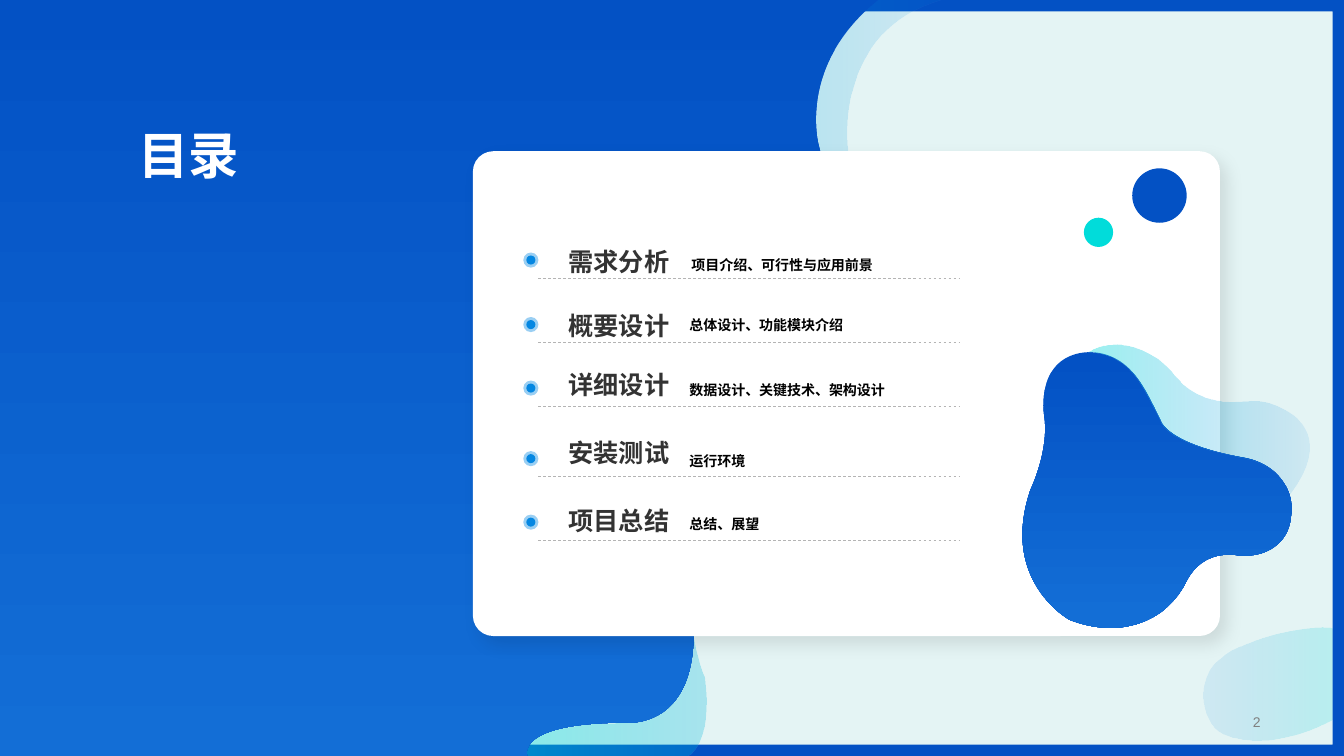
from lxml import etree
from pptx import Presentation
from pptx import util as u
from pptx.dml.color import RGBColor
from pptx.enum import dml, shapes, text
from pptx.oxml.ns import qn

NAVY = RGBColor(0x03, 0x51, 0xC4)
BLUE = RGBColor(0x13, 0x6E, 0xD6)
AZURE = RGBColor(0x04, 0x87, 0xE2)
CYAN = RGBColor(0x01, 0xDC, 0xDA)
MINT = RGBColor(0xE4, 0xF4, 0xF4)
WHITE = RGBColor(0xFF, 0xFF, 0xFF)
BLACK = RGBColor(0x00, 0x00, 0x00)
CHARCOAL = RGBColor(0x33, 0x33, 0x33)
GREY = RGBColor(0x80, 0x80, 0x80)
RULE = RGBColor(0xB4, 0xB4, 0xB4)
CJK = "Noto Sans CJK SC"

CORNER = [(13.26, 7.11), (13.26, 7.11, 12.61, 7.5, 12.13, 7.28),
          (11.92, 7.17, 11.86, 6.79, 12.04, 6.59), (12.1, 6.53, 12.17, 6.47, 12.27, 6.43),
          (12.27, 6.43, 12.84, 6.17, 13.26, 6.24)]
EDGE = [(5.23, 7.5), (5.23, 7.5, 5.1, 7.17, 6.21, 7.17), (6.21, 7.17, 6.89, 7.24, 6.88, 6.26),
        (6.88, 6.26, 6.59, 4.45, 7.79, 3.07), (7.79, 3.07, 8.38, 2.4, 8.12, 1.44),
        (8.12, 1.44, 7.9, 0.65, 8.71, 0)]
PANEL = [(0, 7.5), *EDGE, (0, 0)]
WAVE = [(9.34, 0), (8.24, 0.32, 8.41, 1.49, 8.41, 1.49), (8.51, 3.4, 7.85, 4.27, 7.46, 4.62),
        (7.13, 4.9, 6.92, 5.31, 6.87, 5.75), (6.81, 6.31, 6.99, 6.71, 6.99, 6.71),
        (7.08, 7.41, 6.82, 7.5, 6.82, 7.5), *EDGE]
BLOB = [(10.36, 4.15), (10.36, 4.15, 10.26, 3.62, 10.68, 3.51),
        (10.88, 3.46, 11.09, 3.53, 11.23, 3.69), (11.32, 3.79, 11.38, 3.9, 11.52, 4.19),
        (11.52, 4.19, 11.6, 4.41, 12.33, 4.54), (12.45, 4.56, 12.56, 4.61, 12.65, 4.69),
        (12.75, 4.79, 12.84, 4.93, 12.8, 5.15), (12.8, 5.15, 12.79, 5.4, 12.51, 5.49),
        (12.44, 5.51, 12.36, 5.52, 12.28, 5.51), (12.16, 5.49, 11.9, 5.49, 11.76, 5.78),
        (11.7, 5.9, 11.62, 5.99, 11.52, 6.07), (11.34, 6.2, 11.03, 6.31, 10.61, 6.15),
        (10.61, 6.15, 9.91, 5.77, 10.22, 4.86), (10.22, 4.86, 10.4, 4.49, 10.36, 4.15)]
BLOB_SHADE = [(11.23, 3.69), (11.32, 3.79, 11.38, 3.9, 11.52, 4.19),
              (11.52, 4.19, 11.6, 4.41, 12.33, 4.54), (12.45, 4.56, 12.56, 4.61, 12.65, 4.69),
              (12.71, 4.75, 12.76, 4.81, 12.79, 4.9), (13.19, 4.36, 12.89, 4.12, 12.65, 4.02),
              (12.55, 3.98, 12.43, 3.96, 12.32, 3.98), (11.93, 4.02, 11.73, 3.82, 11.65, 3.72),
              (11.61, 3.66, 11.55, 3.61, 11.49, 3.56), (11.08, 3.28, 10.8, 3.49, 10.8, 3.49),
              (10.96, 3.49, 11.12, 3.56, 11.23, 3.69)]

CONTENTS = [
    (2.76, "需求分析", 2.3, 1.3, "项目介绍、可行性与应用前景", 6.76, 2.49),
    (3.4, "概要设计", 2.94, 1.3, "总体设计、功能模块介绍", 6.74, 3.09),
    (4.03, "详细设计", 3.6, None, "数据设计、关键技术、架构设计", 6.74, 3.73),
    (4.73, "安装测试", 4.28, None, "运行环境", 6.74, 4.44),
    (5.36, "项目总结", 4.95, None, "总结、展望", 6.74, 5.06),
]


def set_alpha(color_element, percent):
    etree.SubElement(color_element, qn("a:alpha"), val=str(percent * 1000))


def bend_segments(shape, segments):
    lines = list(shape.element.spPr.iter(qn("a:lnTo")))
    for line, segment in zip(lines, segments):
        if len(segment) == 2:
            continue
        line.tag = qn("a:cubicBezTo")
        line.remove(line[0])
        for x, y in zip(segment[::2], segment[1::2]):
            etree.SubElement(line, qn("a:pt"), x=str(u.Inches(x) - shape.left),
                             y=str(u.Inches(y) - shape.top))


def add_outline(page, outline, colors, angle=0, alphas=(100, 100)):
    points = [tuple(map(u.Inches, segment[-2:])) for segment in outline]
    builder = page.shapes.build_freeform(*points[0])
    builder.add_line_segments(points[1:], close=True)
    shape = builder.convert_to_shape()
    bend_segments(shape, outline[1:])
    shape.shadow.inherit = False
    shape.line.fill.background()
    shape.fill.gradient()
    shape.fill.gradient_angle = -angle % 360
    for stop, color, position in zip(shape.fill.gradient_stops, colors, (0, 1)):
        stop.color.rgb = color
        stop.position = position
    for element, alpha in zip(shape.element.spPr.iter(qn("a:srgbClr")), alphas):
        if alpha < 100:
            set_alpha(element, alpha)


def add_preset(page, kind, box, color, alpha=100):
    shape = page.shapes.add_shape(kind, *map(u.Inches, box))
    shape.shadow.inherit = False
    shape.line.fill.background()
    shape.fill.solid()
    shape.fill.fore_color.rgb = color
    if alpha < 100:
        set_alpha(next(shape.element.spPr.iter(qn("a:srgbClr"))), alpha)
    return shape


def format_text(frame, words, size, color, font="Arial", bold=True, align=None,
                anchor=text.MSO_ANCHOR.BOTTOM, spacing=None):
    frame.word_wrap = True
    frame.vertical_anchor = anchor
    para = frame.paragraphs[0]
    para.alignment = align
    para.line_spacing = spacing
    span = para.add_run()
    span.text = words
    span.font.size = u.Pt(size)
    span.font.bold = bold
    span.font.name = font
    span.font.color.rgb = color
    if font == CJK:
        etree.SubElement(span.font._element, qn("a:ea"), typeface=font)


def add_text(page, box, words, size, color, grow=True, **style):
    frame = page.shapes.add_textbox(*map(u.Inches, box)).text_frame
    format_text(frame, words, size, color, **style)
    if grow:
        frame.auto_size = text.MSO_AUTO_SIZE.SHAPE_TO_FIT_TEXT


def add_backdrop(page, box):
    page.background.fill.solid()
    page.background.fill.fore_color.rgb = MINT
    add_outline(page, CORNER, (CYAN, AZURE), 180, (20, 10))
    frame = add_preset(page, shapes.MSO_SHAPE.FRAME, box, NAVY)
    frame.adjustments[0] = 0.015
    add_outline(page, WAVE, (CYAN, AZURE), 0, (40, 10))
    add_outline(page, PANEL, (NAVY, BLUE), 90)


def add_card(page, box):
    card = add_preset(page, shapes.MSO_SHAPE.ROUNDED_RECTANGLE, box, WHITE)
    card.adjustments[0] = 0.042
    effects = card.element.spPr.find(qn("a:effectLst"))
    shadow = etree.SubElement(effects, qn("a:outerShdw"), blurRad=str(u.Pt(12)),
                              dist=str(u.Pt(8)), dir="2700000", algn="tl", rotWithShape="0")
    set_alpha(etree.SubElement(shadow, qn("a:srgbClr"), val="000000"), 10)


def add_entry(page, left, rule, heading, heading_top, spacing, detail, detail_left, detail_top):
    oval = shapes.MSO_SHAPE.OVAL
    add_preset(page, oval, (left, rule - 0.255, 0.15, 0.15), AZURE, 40)
    add_preset(page, oval, (left + 0.03, rule - 0.225, 0.09, 0.09), AZURE)
    ends = (left + 0.15, rule, left + 4.33, rule)
    line = page.shapes.add_connector(shapes.MSO_CONNECTOR.STRAIGHT, *map(u.Inches, ends))
    line.line.color.rgb = RULE
    line.line.width = u.Pt(0.5)
    line.line.dash_style = dml.MSO_LINE.DASH
    etree.SubElement(line.element.spPr, qn("a:effectLst"))
    anchor = text.MSO_ANCHOR.TOP if spacing else text.MSO_ANCHOR.BOTTOM
    add_text(page, (left + 0.35, heading_top, 1.44, 0.46 if spacing else 0.41), heading, 18,
             CHARCOAL, font=CJK, anchor=anchor, spacing=spacing)
    add_text(page, (detail_left, detail_top, 2.46, 0.27), detail, 10, BLACK)


def add_ornaments(page):
    oval = shapes.MSO_SHAPE.OVAL
    add_preset(page, oval, (11.23, 1.67, 0.54, 0.54), NAVY)
    add_preset(page, oval, (10.75, 2.16, 0.29, 0.29), CYAN)
    add_outline(page, BLOB, (NAVY, BLUE), 90)
    add_outline(page, BLOB_SHADE, (CYAN, AZURE), 0, (40, 10))


def add_title(page, box):
    title = page.shapes.title
    title.left, title.top, title.width, title.height = map(u.Inches, box)
    format_text(title.text_frame, "目录", 36, WHITE, align=text.PP_ALIGN.LEFT, spacing=0.9)
    page.shapes._spTree.append(title.element)


def main():
    deck = Presentation()
    deck.slide_width, deck.slide_height = u.Inches(13.33), u.Inches(7.5)
    page = deck.slides.add_slide(deck.slide_layouts[5])
    add_backdrop(page, (0, 0, 13.33, 7.5))
    add_card(page, (4.69, 1.5, 7.41, 4.81))
    add_title(page, (1.27, 1.18, 3.37, 0.71))
    add_text(page, (9.69, 7.04, 2.91, 0.24), "2", 10, GREY, grow=False, bold=False,
             align=text.PP_ALIGN.RIGHT, anchor=text.MSO_ANCHOR.MIDDLE)
    for entry in CONTENTS:
        add_entry(page, 5.19, *entry)
    add_ornaments(page)
    deck.save("out.pptx")


if __name__ == "__main__":
    main()
